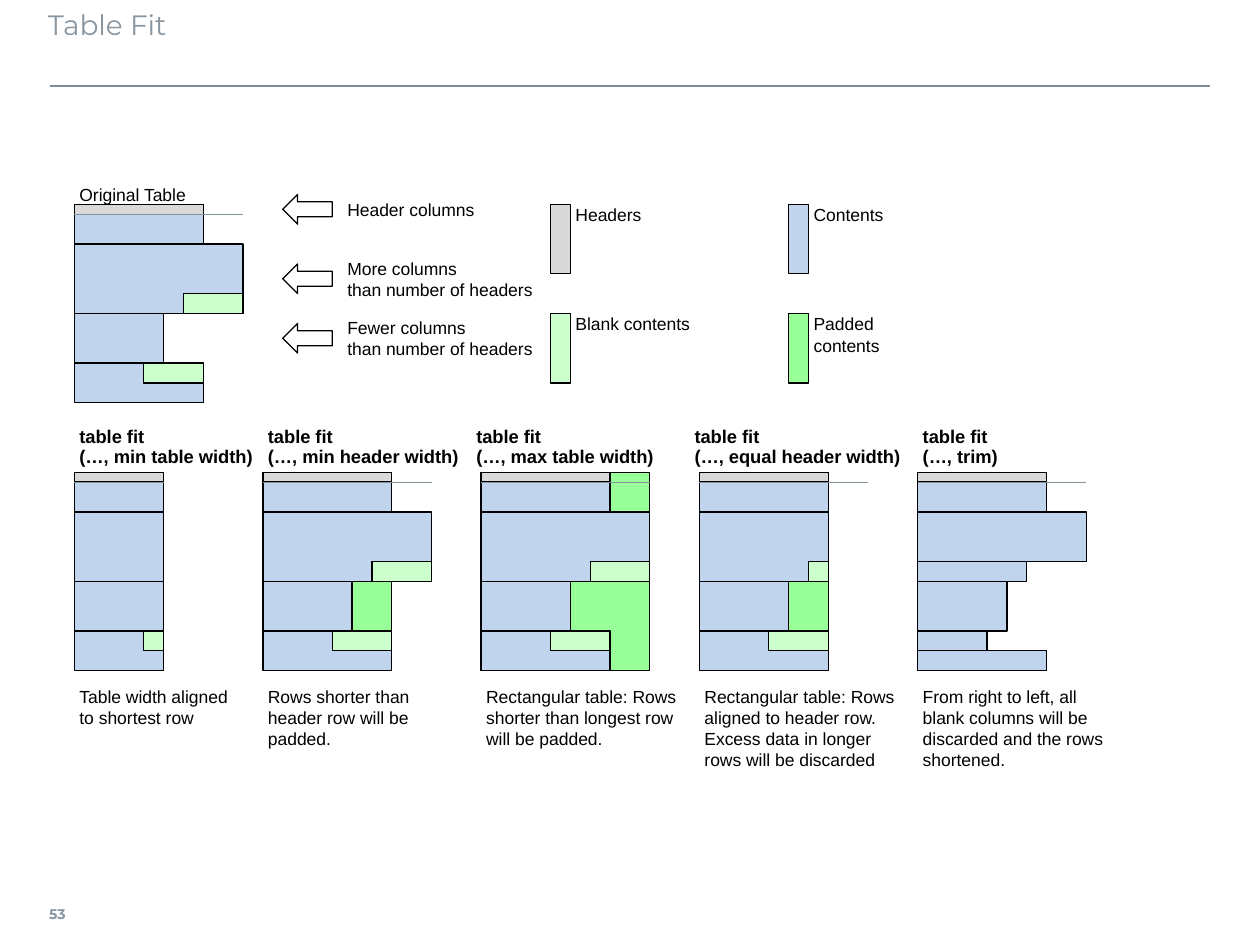
import pptx
import pptx.util
import pptx.dml.color
import pptx.enum.shapes
import pptx.enum.text
import pptx.oxml.ns
import lxml.etree

RGB = pptx.dml.color.RGBColor
SHAPE = pptx.enum.shapes.MSO_SHAPE
ANCHOR = pptx.enum.text.MSO_ANCHOR
Inches = pptx.util.Inches
Pt = pptx.util.Pt

BLACK = RGB(0x00, 0x00, 0x00)
HEADER = RGB(0xD9, 0xD9, 0xD9)
CONTENT = RGB(0xC1, 0xD4, 0xEE)
BLANK = RGB(0xCC, 0xFF, 0xCC)
PADDED = RGB(0x99, 0xFF, 0x99)
SLATE = RGB(0x89, 0x96, 0xA0)
RULE = RGB(0x80, 0x8D, 0x97)
DIVIDER = RGB(0x85, 0x93, 0x9D)

deck = pptx.Presentation()
deck.slide_width = Inches(10)
deck.slide_height = Inches(7.5)
slide = deck.slides.add_slide(deck.slide_layouts[5])
CELL = deck.slide_width / 127
TOP_ROW = 20.6
FIT_ROW = 47.6


def grid(*cells):
    return [round(cell * CELL) for cell in cells]


def add_block(kind, column, row, width, height, color):
    block = slide.shapes.add_shape(kind, *grid(column, row, width, height))
    block.shadow.inherit = False
    if color is None:
        block.fill.background()
    else:
        block.fill.solid()
        block.fill.fore_color.rgb = color
    block.line.color.rgb = BLACK
    block.line.width = Pt(0.75)


def add_words(words, column, row, width, height, inset=0.04, anchor=ANCHOR.TOP,
              size=10, bold=False, spacing=None):
    frame = slide.shapes.add_textbox(*grid(column, row, width, height)).text_frame
    frame.word_wrap = False
    frame.vertical_anchor = anchor
    frame.margin_left = frame.margin_right = Inches(0.04)
    frame.margin_top = frame.margin_bottom = Inches(inset)
    frame.text = words
    for paragraph in frame.paragraphs:
        paragraph.line_spacing = spacing
        paragraph.font.name = "Arial"
        paragraph.font.size = Pt(size)
        paragraph.font.bold = bold
        paragraph.font.color.rgb = BLACK


heading = slide.shapes.title
heading.left, heading.top = Inches(0.38), Inches(0.01)
heading.width, heading.height = Inches(9.21), Inches(0.63)
page = slide.shapes.add_textbox(Inches(0.39), Inches(7.06), Inches(0.35), Inches(0.39))
for holder, words, size, bold, anchor, right in [
    (heading, "Table Fit", 16, False, ANCHOR.TOP, 0.1),
    (page, "53", 8, True, ANCHOR.MIDDLE, 0.08),
]:
    frame = holder.text_frame
    frame.word_wrap = holder is heading
    frame.auto_size = pptx.enum.text.MSO_AUTO_SIZE.NONE
    frame.vertical_anchor = anchor
    frame.margin_left, frame.margin_right = 0, Inches(right)
    frame.margin_top = frame.margin_bottom = Inches(0.05)
    frame.text = words
    paragraph = frame.paragraphs[0]
    paragraph.alignment = pptx.enum.text.PP_ALIGN.LEFT
    paragraph.font.name = "Montserrat"
    paragraph.font.size = Pt(size)
    paragraph.font.bold = bold
    paragraph.font.color.rgb = SLATE

rows = [(0, 4, 17, 7, CONTENT), (0, 11, 9, 5, CONTENT), (0, 16, 13, 4, CONTENT)]
blanks = [(7, 16, 6, 2, BLANK), (11, 9, 6, 2, BLANK)]
padding = (9, 11, 4, 5, PADDED)
tables = [
    (7.5, TOP_ROW, 13, 17, rows + blanks),
    (7.5, FIT_ROW, 9, 9, [
        (0, 4, 9, 7, CONTENT), (0, 11, 9, 5, CONTENT), (0, 16, 9, 4, CONTENT),
        (7, 16, 2, 2, BLANK)]),
    (26.5, FIT_ROW, 13, 17, rows + blanks + [padding]),
    (48.5, FIT_ROW, 13, 17, rows + blanks),
    (70.5, FIT_ROW, 13, 17, [
        (0, 4, 13, 7, CONTENT), *rows[1:], blanks[0], (11, 9, 2, 2, BLANK), padding]),
    (92.5, FIT_ROW, 13, 17, [
        (0, 4, 17, 5, CONTENT), (0, 9, 11, 2, CONTENT), (0, 11, 9, 5, CONTENT),
        (0, 16, 7, 2, CONTENT), (0, 18, 13, 2, CONTENT)]),
]
lines = [(5, 8.64, 122, RULE, 1)]
add_block(SHAPE.RECTANGLE, 48.5, FIT_ROW, 17, 20, PADDED)
for left, top, header_width, divider_width, blocks in tables:
    first_row = [(0, 0, header_width, 4, CONTENT), (0, 0, header_width, 1, HEADER)]
    for column, row, width, height, color in first_row + blocks:
        add_block(SHAPE.RECTANGLE, left + column, top + row, width, height, color)
    lines.append((left, top + 1, left + divider_width, DIVIDER, 0.75))

for start, row, end, color, weight in lines:
    line = slide.shapes.add_connector(
        pptx.enum.shapes.MSO_CONNECTOR.STRAIGHT, *grid(start, row, end, row))
    line.line.color.rgb = color
    line.line.width = Pt(weight)
    lxml.etree.SubElement(line._element.spPr, pptx.oxml.ns.qn("a:effectLst"))

add_words("Original Table", 7.5, TOP_ROW - 2, 15, 2, anchor=ANCHOR.MIDDLE)
for offset, words in [
    (-1, "Header columns"),
    (6, "More columns\nthan number of headers"),
    (12, "Fewer columns\nthan number of headers"),
]:
    add_block(SHAPE.LEFT_ARROW, 28.5, TOP_ROW + offset, 5, 3, None)
    add_words(words, 34.5, TOP_ROW + offset - 1, 24, 5, inset=0, anchor=ANCHOR.MIDDLE)

for column, offset, words, color in [
    (55.5, 0, "Headers", HEADER),
    (79.5, 0, "Contents", CONTENT),
    (55.5, 11, "Blank contents", BLANK),
    (79.5, 11, "Padded\ncontents", PADDED),
]:
    add_block(SHAPE.RECTANGLE, column, TOP_ROW + offset, 2, 7, color)
    add_words(words, column + 2, TOP_ROW + offset, 13, 7, inset=0)

for caption_column, caption_width, mode, note_column, note_width, note in [
    (7.5, 19, "min table width", 7.5, 20, "Table width aligned\nto shortest row"),
    (26.5, 21, "min header width", 26.5, 23,
     "Rows shorter than\nheader row will be\npadded."),
    (47.5, 22, "max table width", 48.5, 23,
     "Rectangular table: Rows\nshorter than longest row\nwill be padded."),
    (69.5, 23, "equal header width", 70.5, 23,
     "Rectangular table: Rows\naligned to header row.\n"
     "Excess data in longer\nrows will be discarded"),
    (92.5, 15, "trim", 92.5, 19.5,
     "From right to left, all\nblank columns will be\n"
     "discarded and the rows\nshortened."),
]:
    add_words(f"table fit\n(…, {mode})", caption_column, FIT_ROW - 5, caption_width, 5,
              size=10.5, bold=True, spacing=0.9)
    add_words(note, note_column, FIT_ROW + 21, note_width, 10)

deck.save("out.pptx")
